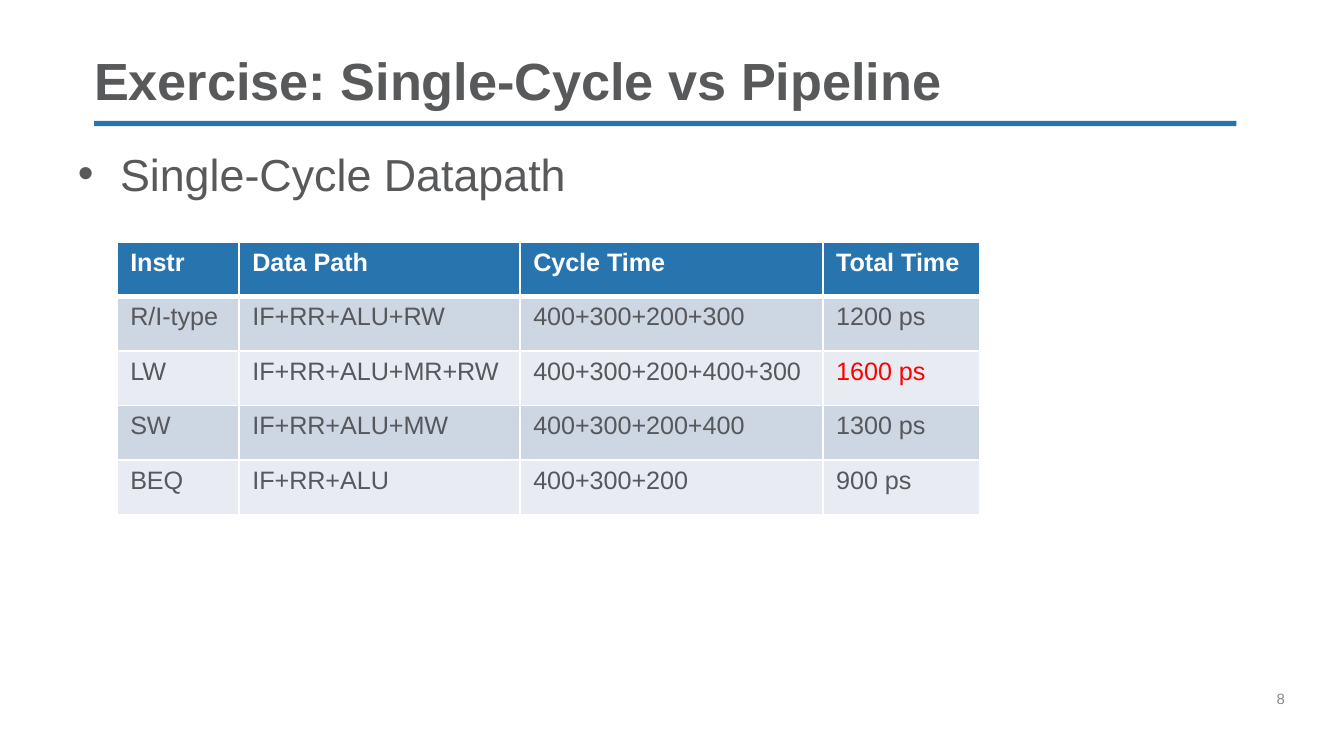
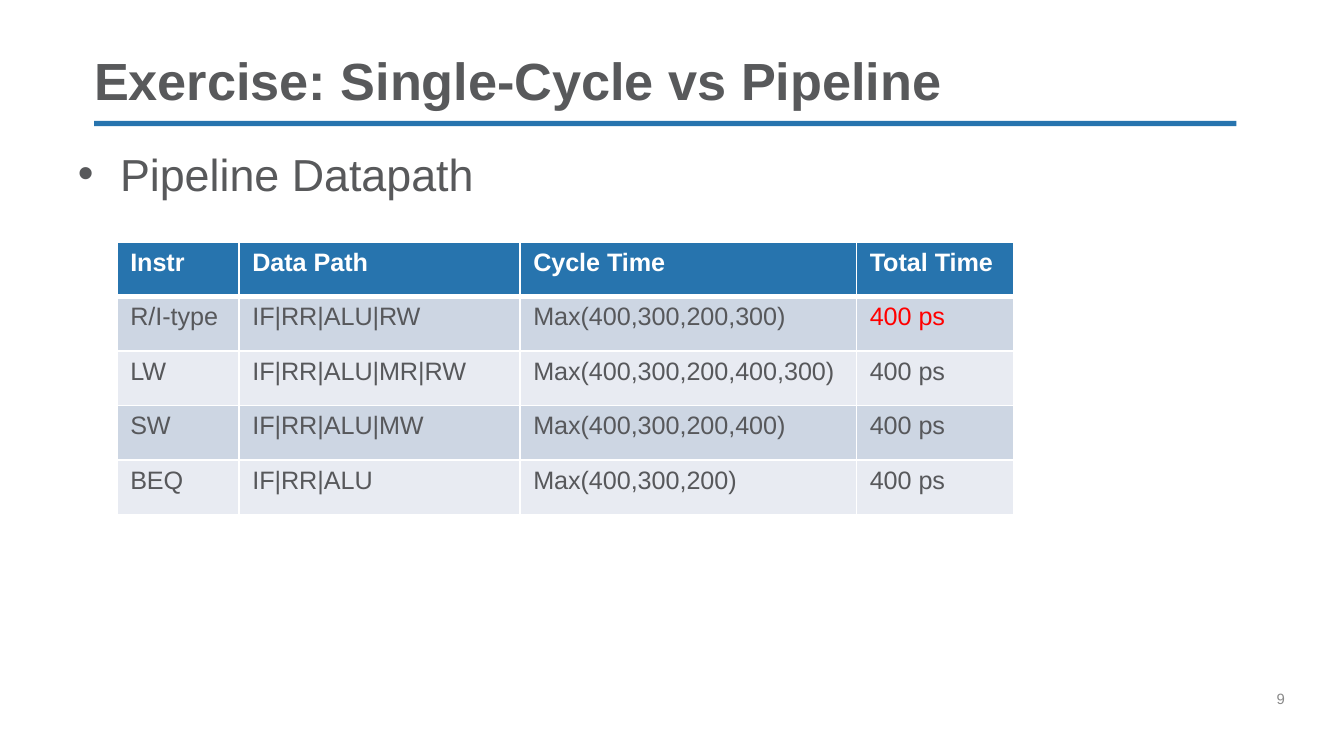
"""Build two slides comparing single-cycle and pipeline datapath timing."""
from dataclasses import dataclass

from lxml.etree import SubElement
from pptx import Presentation
from pptx.dml.color import RGBColor
from pptx.enum.shapes import MSO_SHAPE as Shape
from pptx.enum.text import MSO_ANCHOR as Anchor, PP_ALIGN as Align
from pptx.oxml import parse_xml
from pptx.oxml.ns import nsdecls, qn
from pptx.util import Pt

FONT = "Arial"
BLUE, WHITE, RED = "2774AE", "FFFFFF", "FF0000"
TEXT, CELL_TEXT, PAGE_GREY = "58595B", "57585B", "898989"
STRIPES = ("CDD6E3", "E8EBF2")
TITLE = "Exercise: Single-Cycle vs Pipeline"
HEADERS = ("Instr", "Data Path", "Cycle Time", "Total Time")
LEFT, WIDTH = 50.4, 612
ROW_HEIGHT = 29.25


@dataclass(frozen=True)
class TimingPage:
    """Content that differs from one slide to the next."""
    number: int
    heading: str
    cycle_width: float
    rows: tuple[tuple[str, ...], ...]
    red_row: int


PAGES = (
    TimingPage(8, "Single-Cycle Datapath", 162.3, (
        ("R/I-type", "IF+RR+ALU+RW", "400+300+200+300", "1200 ps"),
        ("LW", "IF+RR+ALU+MR+RW", "400+300+200+400+300", "1600 ps"),
        ("SW", "IF+RR+ALU+MW", "400+300+200+400", "1300 ps"),
        ("BEQ", "IF+RR+ALU", "400+300+200", "900 ps"),
    ), red_row=2),
    TimingPage(9, "Pipeline Datapath", 180.3, (
        ("R/I-type", "IF|RR|ALU|RW", "Max(400,300,200,300)", "400 ps"),
        ("LW", "IF|RR|ALU|MR|RW", "Max(400,300,200,400,300)", "400 ps"),
        ("SW", "IF|RR|ALU|MW", "Max(400,300,200,400)", "400 ps"),
        ("BEQ", "IF|RR|ALU", "Max(400,300,200)", "400 ps"),
    ), red_row=1),
)


def rgb(value: str) -> RGBColor:
    """Turn a hex string into a colour."""
    return RGBColor.from_string(value)


def write(frame, text: str, size: float, colour: str, bold: bool = False):
    """Set the text of a frame, format it and return its paragraph."""
    frame.text = text
    para = frame.paragraphs[0]
    para.alignment = Align.LEFT
    for span in para.runs:
        span.font.name = FONT
        span.font.size = Pt(size)
        span.font.bold = bold
        span.font.color.rgb = rgb(colour)
    return para


def clear_margins(frame) -> None:
    """Wrap the text and remove the inner margins."""
    frame.word_wrap = True
    frame.margin_left = frame.margin_top = 0
    frame.margin_right = frame.margin_bottom = 0


def add_text(slide, left: float, top: float, width: float, height: float):
    """Add a text box without margins and return its frame."""
    box = slide.shapes.add_textbox(Pt(left), Pt(top), Pt(width), Pt(height))
    clear_margins(box.text_frame)
    return box.text_frame


def add_rule(slide) -> None:
    """Draw the blue rule below the title."""
    rule = slide.shapes.add_shape(Shape.RECTANGLE, Pt(LEFT), Pt(64.8), Pt(WIDTH), Pt(2.9))
    rule.shadow.inherit = False
    rule.fill.solid()
    rule.fill.fore_color.rgb = rgb(BLUE)
    rule.line.fill.background()


def add_page_number(slide, number: int) -> None:
    """Write the page number at the lower right."""
    frame = add_text(slide, 684, 374.4, 36, 28.8)
    frame.margin_bottom = Pt(20)
    write(frame, str(number), 8, PAGE_GREY)


def set_title(slide) -> None:
    """Place and format the title placeholder."""
    title = slide.shapes.title
    title.left, title.top, title.width, title.height = Pt(LEFT), Pt(28.8), Pt(WIDTH), Pt(31)
    frame = title.text_frame
    clear_margins(frame)
    frame.vertical_anchor = Anchor.BOTTOM
    write(frame, TITLE, 28, TEXT, bold=True).line_spacing = 0.9


def add_heading(slide, text: str) -> None:
    """Write the bulleted heading above the table."""
    para = write(add_text(slide, 41.8, 78.5, 642, 28.8), text, 24, TEXT)
    para.space_before = Pt(7.5)
    props = para._p.get_or_add_pPr()
    props.set("marL", str(Pt(22.5)))
    props.set("indent", str(Pt(-22.5)))
    SubElement(props, qn("a:buFont"), typeface=FONT)
    SubElement(props, qn("a:buChar"), char="•")


def set_borders(cell, top: float, bottom: float) -> None:
    """Give a cell white borders, one point wide at the sides."""
    props = cell._tc.get_or_add_tcPr()
    widths = {"lnL": 1, "lnR": 1, "lnT": top, "lnB": bottom}
    for index, (tag, width) in enumerate(widths.items()):
        props.insert(index, parse_xml(
            f'<a:{tag} {nsdecls("a")} w="{Pt(width)}"><a:solidFill>'
            f'<a:srgbClr val="{WHITE}"/></a:solidFill></a:{tag}>'))


def add_table(slide, page: TimingPage) -> None:
    """Draw the timing table with one red result."""
    widths = (65.4, 150.5, page.cycle_width, 84.3)
    rows = (HEADERS, *page.rows)
    table = slide.shapes.add_table(
        len(rows), len(widths), Pt(62.6), Pt(129.6),
        Pt(sum(widths)), Pt(ROW_HEIGHT * len(rows))).table
    for column, width in zip(table.columns, widths):
        column.width = Pt(width)
    for r, values in enumerate(rows):
        table.rows[r].height = Pt(ROW_HEIGHT)
        header = r == 0
        for c, value in enumerate(values):
            cell = table.cell(r, c)
            cell.fill.solid()
            cell.fill.fore_color.rgb = rgb(BLUE if header else STRIPES[(r - 1) % 2])
            set_borders(cell, top=3 if r == 1 else 1, bottom=3 if header else 1)
            is_red = r == page.red_row and c == len(widths) - 1
            colour = WHITE if header else RED if is_red else CELL_TEXT
            write(cell.text_frame, value, 13.5, colour, bold=header)


def main() -> None:
    """Build and save the deck."""
    deck = Presentation()
    deck.slide_width, deck.slide_height = Pt(720), Pt(405)
    for page in PAGES:
        slide = deck.slides.add_slide(deck.slide_layouts[5])
        add_rule(slide)
        add_page_number(slide, page.number)
        set_title(slide)
        add_heading(slide, page.heading)
        add_table(slide, page)
    deck.save("out.pptx")


if __name__ == "__main__":
    main()
